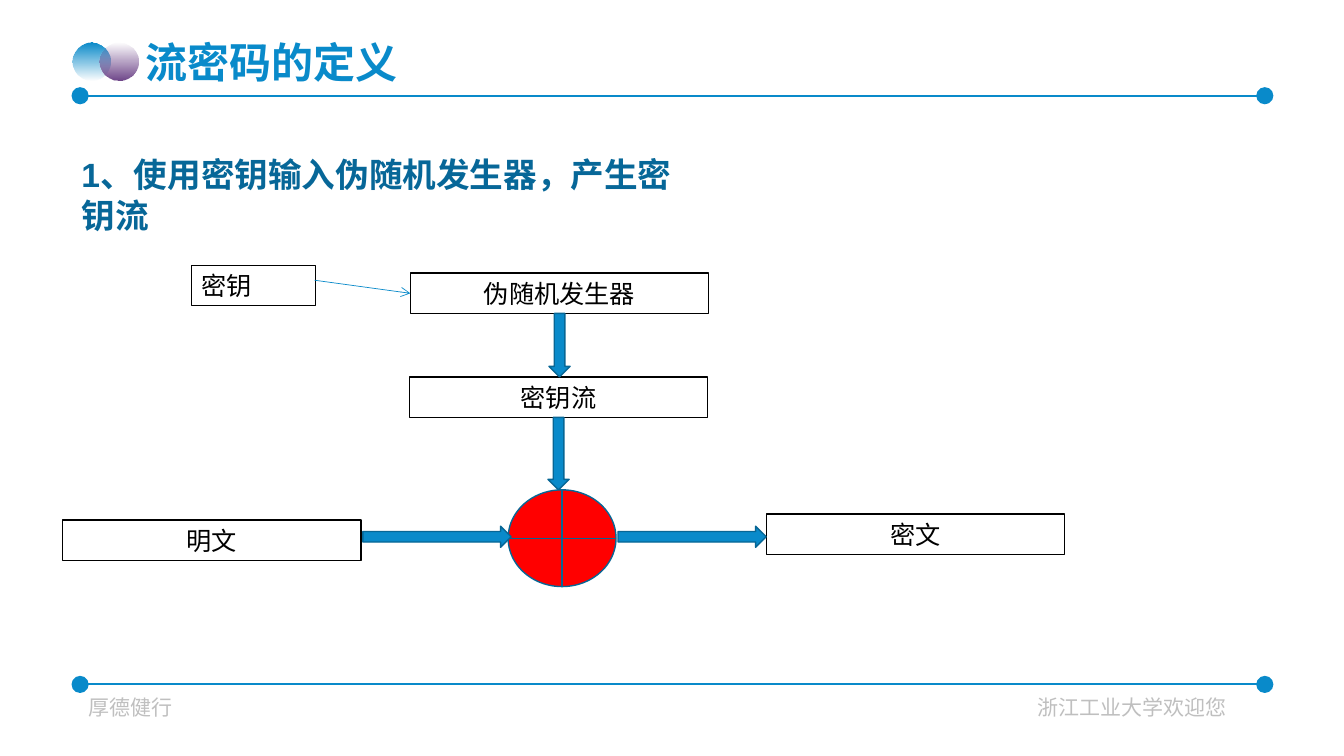
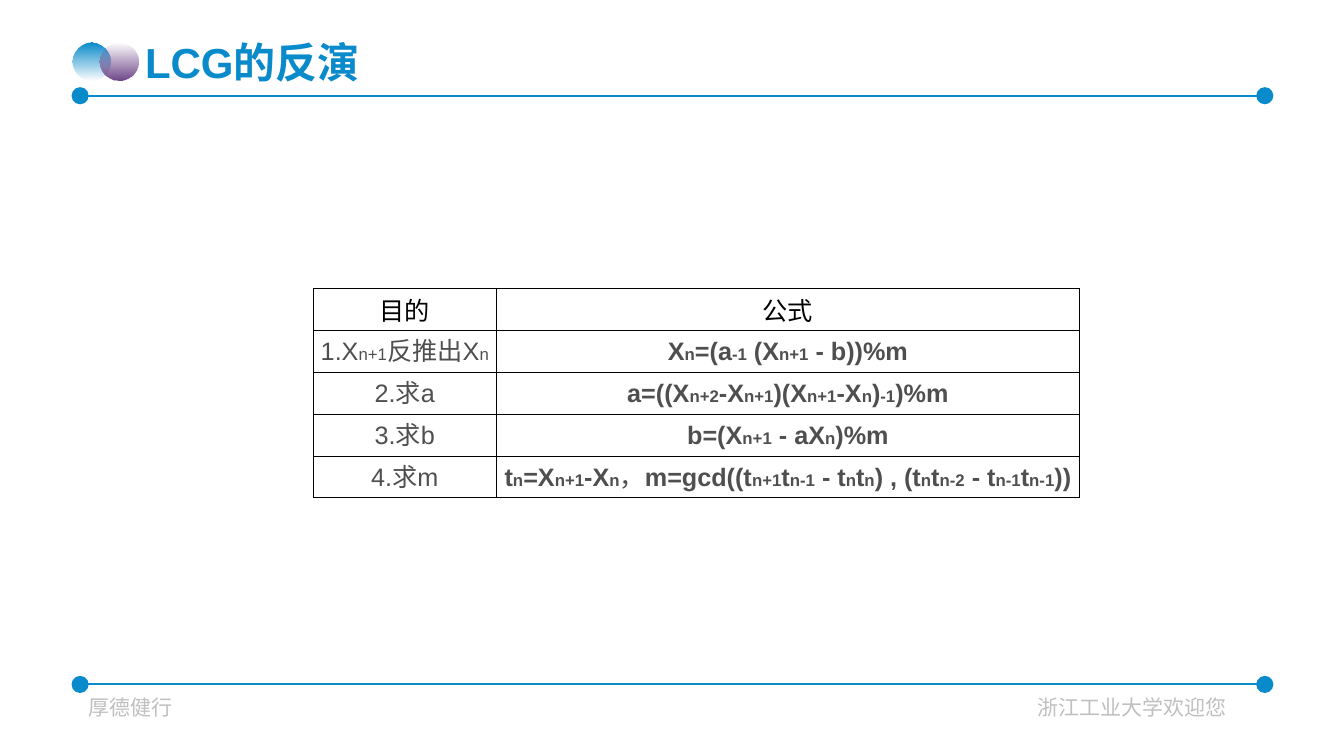
"""Builds two slides on stream ciphers: a flow diagram and a formula table."""
from dataclasses import dataclass

from lxml import etree
from pptx import Presentation
from pptx.dml.color import RGBColor
from pptx.enum.shapes import MSO_CONNECTOR, MSO_SHAPE
from pptx.enum.text import MSO_ANCHOR, PP_ALIGN
from pptx.oxml.ns import qn
from pptx.util import Inches, Pt

RECT, OVAL, XOR = MSO_SHAPE.RECTANGLE, MSO_SHAPE.OVAL, MSO_SHAPE.FLOWCHART_OR
RIGHT_ARROW, DOWN_ARROW = MSO_SHAPE.RIGHT_ARROW, MSO_SHAPE.DOWN_ARROW
STRAIGHT = MSO_CONNECTOR.STRAIGHT
LEFT, CENTER = PP_ALIGN.LEFT, PP_ALIGN.CENTER
TOP, MIDDLE = MSO_ANCHOR.TOP, MSO_ANCHOR.MIDDLE


@dataclass(frozen=True)
class Theme:
    """Colours, fonts and type sizes."""
    blue: str = "098ACA"
    edge: str = "076695"
    heading: str = "076798"
    purple: str = "6E4589"
    red: str = "FF0000"
    black: str = "000000"
    formula: str = "4F4F4F"
    footer: str = "BFBFBF"
    latin: str = "Arial"
    cjk: str = "Noto Sans CJK SC"
    title_pt: int = 30
    heading_pt: int = 24
    body_pt: int = 18
    footer_pt: int = 15
    index_pt: int = 12


T = Theme()
WIDTH, HEIGHT = 13.33, 7.5
RULE_X, RULE_END, RULES_Y, DOT = 0.71, 12.63, (0.95, 6.79), 0.17
FOOTERS = [("厚德健行", 0.88, 0.97), ("浙江工业大学欢迎您", 10.29, 1.89)]

FLOW_TITLE = "流密码的定义"
FLOW_HEADING = "1、使用密钥输入伪随机发生器，产生密钥流"
BOX_W, KEY_W, BOX_H = 2.96, 1.23, 0.4
BOXES = {
    "generator": ("伪随机发生器", 4.07, 2.71, BOX_W, 1, CENTER),
    "stream": ("密钥流", 4.06, 3.74, BOX_W, 1, CENTER),
    "plain": ("明文", 0.62, 5.16, BOX_W, 1, CENTER),
    "cipher": ("密文", 7.6, 5.1, BOX_W, 1, CENTER),
    "key": ("密钥", 1.9, 2.63, KEY_W, 0.5, LEFT),
}
XOR_X, XOR_Y, XOR_W, XOR_H = 5.04, 4.86, 1.07, 0.96
ARROW, ARROW_LEN, ARROW_Y = 0.21, 1.47, 5.22

TABLE_TITLE = "LCG的反演"
TABLE_X, TABLE_Y, COLUMNS, ROW_H = 3.11, 2.86, (1.81, 5.79), 0.416
HEADER = ("目的", "公式")
FORMULAS = [
    ("1.X|n+1|反推出X|n", "X|n|=(a|-1| (X|n+1| - b))%m"),
    ("2.求a", "a=((X|n+2|-X|n+1|)(X|n+1|-X|n|)|-1|)%m"),
    ("3.求b", "b=(X|n+1| - aX|n|)%m"),
    ("4.求m", "t|n|=X|n+1|-X|n|，||m=gcd((t|n+1|t|n-1| - t|n|t|n|) , "
              "(t|n|t|n-2| - t|n-1|t|n-1|))"),
]


def rgb(color):
    return RGBColor.from_string(color)


def add_run(p, text, size, color, bold=False, font=T.latin):
    r = p.add_run()
    r.text = text
    r.font.size, r.font.bold = Pt(size), bold
    r.font.color.rgb = rgb(color)
    r.font.name = font
    etree.SubElement(r._r.get_or_add_rPr(), qn("a:ea"), typeface=font)


def add_text(s, box, text, size, color, bold=False, font=T.latin,
             anchor=MIDDLE, wrap=True, inset=True):
    sp = s.shapes.add_textbox(*map(Inches, box))
    tf = sp.text_frame
    tf.word_wrap, tf.vertical_anchor = wrap, anchor
    if not inset:
        tf.margin_left = tf.margin_right = tf.margin_top = tf.margin_bottom = 0
    add_run(tf.paragraphs[0], text, size, color, bold, font)


def add_shape(s, kind, box, fill=None, line=None, weight=1):
    sp = s.shapes.add_shape(kind, *map(Inches, box))
    sp.shadow.inherit = False
    if fill:
        sp.fill.solid()
        sp.fill.fore_color.rgb = rgb(fill)
    else:
        sp.fill.background()
    if line:
        sp.line.color.rgb = rgb(line)
        sp.line.width = Pt(weight)
    else:
        sp.line.fill.background()
    return sp


def add_line(s, start, end, weight):
    c = s.shapes.add_connector(STRAIGHT, *map(Inches, start + end))
    c.line.color.rgb = rgb(T.blue)
    c.line.width = Pt(weight)
    etree.SubElement(c._element.spPr, qn("a:effectLst"))
    return c


def add_fading_disc(s, x, color, clear_stop):
    sp = add_shape(s, OVAL, (x, 0.42, 0.38, 0.38))
    sp.fill.gradient()
    sp.fill.gradient_angle = 270
    for position, stop in enumerate(sp.fill.gradient_stops):
        stop.position, stop.color.rgb = position, rgb(color)
    stops = list(sp._element.spPr.iter(qn("a:srgbClr")))
    etree.SubElement(stops[clear_stop], qn("a:alpha"), val="0")


def add_base(prs, title):
    s = prs.slides.add_slide(prs.slide_layouts[6])
    for y in RULES_Y:
        add_line(s, (RULE_X, y), (RULE_END - DOT / 2, y), 1.5)
        for x in (RULE_X, RULE_END - DOT):
            add_shape(s, OVAL, (x, y - DOT / 2, DOT, DOT), T.blue)
    for text, x, width in FOOTERS:
        add_text(s, (x, 6.89, width, 0.25), text, T.footer_pt, T.footer,
                 font=T.cjk, wrap=False, inset=False)
    add_fading_disc(s, 0.72, T.blue, 1)
    add_fading_disc(s, 0.99, T.purple, 0)
    add_text(s, (1.34, 0.29, 6.55, 0.64), title, T.title_pt, T.blue, True)
    return s


def build_flow(prs):
    s = add_base(prs, FLOW_TITLE)
    add_text(s, (RULE_X, 1.48, 6.15, 0.91), FLOW_HEADING, T.heading_pt,
             T.heading, True, anchor=TOP)
    boxes = {}
    for name, (text, x, y, width, weight, align) in BOXES.items():
        sp = add_shape(s, RECT, (x, y, width, BOX_H), None, T.black, weight)
        tf = sp.text_frame
        tf.word_wrap, tf.vertical_anchor = True, MIDDLE
        p = tf.paragraphs[0]
        p.alignment = align
        add_run(p, text, T.body_pt, T.black)
        boxes[name] = sp

    add_shape(s, XOR, (XOR_X, XOR_Y, XOR_W, XOR_H), T.red, T.edge)
    for x in (3.6, BOXES["cipher"][1] - ARROW_LEN):
        add_shape(s, RIGHT_ARROW, (x, ARROW_Y, ARROW_LEN, ARROW), T.blue, T.edge)
    for name, end in (("generator", BOXES["stream"][2]), ("stream", XOR_Y)):
        x, y = BOXES[name][1], BOXES[name][2] + BOX_H
        middle = x + BOX_W / 2
        add_shape(s, DOWN_ARROW, (middle - ARROW / 2, y, ARROW, end - y),
                  T.blue, T.edge)

    c = add_line(s, (3.12, 2.78), (4.07, 2.91), 0.5)
    c.end_connect(boxes["generator"], 1)
    etree.SubElement(c.line._get_or_add_ln(), qn("a:tailEnd"), type="arrow")


def style_cell(cell):
    cell.margin_left = cell.margin_right = cell.margin_top = Inches(0.01)
    cell.margin_bottom = 0
    cell.vertical_anchor = MIDDLE
    tcPr = cell._tc.get_or_add_tcPr()
    for side in ("a:lnL", "a:lnR", "a:lnT", "a:lnB"):
        ln = etree.SubElement(tcPr, qn(side), w=str(Pt(0.5)))
        fill = etree.SubElement(ln, qn("a:solidFill"))
        etree.SubElement(fill, qn("a:srgbClr"), val=T.black)
    cell.fill.background()


def build_table(prs):
    s = add_base(prs, TABLE_TITLE)
    rows = [HEADER] + FORMULAS
    box = (TABLE_X, TABLE_Y, sum(COLUMNS), ROW_H * len(rows))
    table = s.shapes.add_table(len(rows), len(COLUMNS), *map(Inches, box)).table
    table.first_row = table.horz_banding = False
    for column, width in zip(table.columns, COLUMNS):
        column.width = Inches(width)
    for i, row in enumerate(rows):
        color, font = (T.formula, T.latin) if i else (T.black, T.cjk)
        for j, text in enumerate(row):
            cell = table.cell(i, j)
            style_cell(cell)
            p = cell.text_frame.paragraphs[0]
            p.alignment = CENTER
            for k, part in enumerate(text.split("|")):
                if part:
                    size = T.index_pt if k % 2 else T.body_pt
                    bold = i > 0 and j == 1 and part != "，"
                    add_run(p, part, size, color, bold, font)


def main():
    prs = Presentation()
    prs.slide_width, prs.slide_height = Inches(WIDTH), Inches(HEIGHT)
    build_flow(prs)
    build_table(prs)
    prs.save("out.pptx")


if __name__ == "__main__":
    main()
